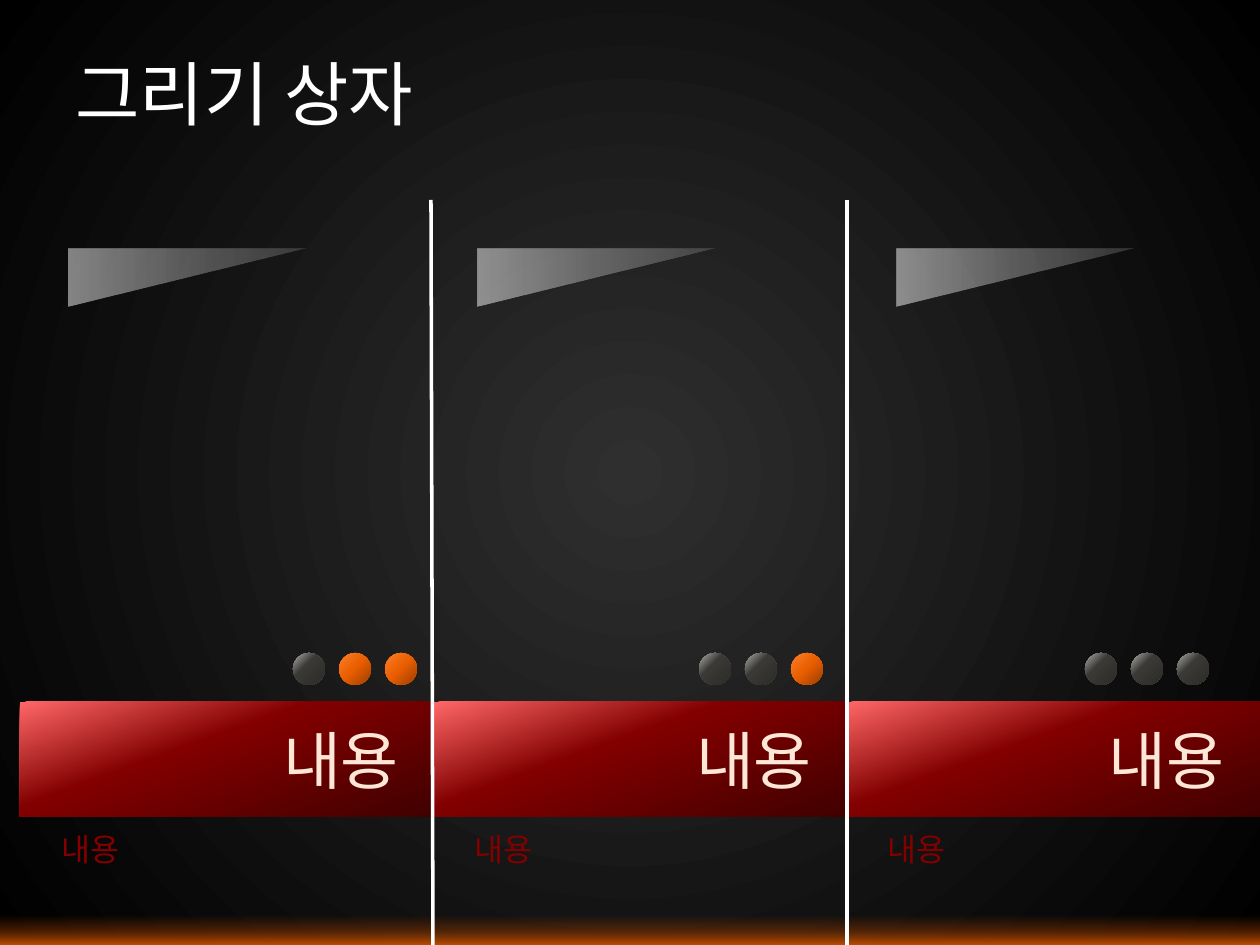
from lxml import etree
from pptx import Presentation
from pptx.dml.color import RGBColor
from pptx.enum.shapes import MSO_CONNECTOR, MSO_SHAPE
from pptx.enum.text import MSO_ANCHOR, PP_ALIGN
from pptx.oxml.ns import qn
from pptx.util import Inches, Pt

PX = 7257  # EMU per pixel, 126 pixels to the inch
FONT = "Arial"
STRAIGHT = MSO_CONNECTOR.STRAIGHT
RECTANGLE = MSO_SHAPE.RECTANGLE
OVAL = MSO_SHAPE.OVAL
TRIANGLE = MSO_SHAPE.RIGHT_TRIANGLE
MIDDLE = MSO_ANCHOR.MIDDLE
LEFT, RIGHT = PP_ALIGN.LEFT, PP_ALIGN.RIGHT

WHITE = RGBColor(0xFF, 0xFF, 0xFF)
BLACK = RGBColor(0x00, 0x00, 0x00)
CHARCOAL = RGBColor(0x2F, 0x2F, 0x2F)
CREAM = RGBColor(0xFF, 0xE7, 0xD7)
RED = RGBColor(0x82, 0x00, 0x00)
LIGHT_RED = RGBColor(0xFF, 0x67, 0x67)
DARK_RED = RGBColor(0x41, 0x00, 0x00)
BROWN = RGBColor(0x80, 0x33, 0x00)
RUST = RGBColor(0xBF, 0x4D, 0x00)

# Gradient stops: position, colour, opacity (all in percent)
BACKGROUND_STOPS = [(0, CHARCOAL, 100), (100, BLACK, 100)]
GLOW_STOPS = [(0, BROWN, 0), (50, BROWN, 54), (100, RUST, 100)]
BAR_STOPS = [(0, LIGHT_RED, 100), (40, RED, 100), (100, DARK_RED, 100)]
WEDGE_STOPS = [(0, WHITE, 15), (50, WHITE, 30), (100, WHITE, 50)]
GREY_STOPS = [(0, RGBColor(0xB2, 0xB1, 0xAD), 100),
              (40, RGBColor(0x3A, 0x39, 0x36), 100),
              (100, RGBColor(0x2C, 0x2B, 0x28), 100)]
ORANGE_STOPS = [(0, RGBColor(0xFF, 0x7F, 0x28), 100),
                (50, RGBColor(0xE9, 0x5E, 0x00), 100),
                (100, RGBColor(0x9B, 0x3F, 0x00), 100)]


def set_gradient(fill, element, stops, angle=None):
    """Fill the element with a linear gradient, or a circular one without an angle."""
    fill.background()
    empty_fill = next(element.iter(qn("a:noFill")))
    gradient = etree.Element(qn("a:gradFill"), rotWithShape="1")
    stop_list = etree.SubElement(gradient, qn("a:gsLst"))
    for position, color, opacity in stops:
        stop = etree.SubElement(stop_list, qn("a:gs"), pos=str(position * 1000))
        rgb = etree.SubElement(stop, qn("a:srgbClr"), val=str(color))
        if opacity < 100:
            etree.SubElement(rgb, qn("a:alpha"), val=str(opacity * 1000))
    if angle is None:
        circle = etree.SubElement(gradient, qn("a:path"), path="circle")
        etree.SubElement(circle, qn("a:fillToRect"),
                         l="50000", t="50000", r="50000", b="50000")
    else:
        etree.SubElement(gradient, qn("a:lin"), ang=str(angle * 60000), scaled="0")
    empty_fill.getparent().replace(empty_fill, gradient)


def add_gradient_shape(kind, left, top, width, height, stops, angle):
    shape = slide.shapes.add_shape(kind, left * PX, top * PX, width * PX, height * PX)
    shape.shadow.inherit = False
    set_gradient(shape.fill, shape.element.spPr, stops, angle)
    shape.line.fill.background()
    return shape


presentation = Presentation()
presentation.slide_width = Inches(10)
presentation.slide_height = Inches(7.5)
slide = presentation.slides.add_slide(presentation.slide_layouts[5])
set_gradient(slide.background.fill, slide.element.cSld, BACKGROUND_STOPS)

add_gradient_shape(RECTANGLE, 0, 916, 1260, 29, GLOW_STOPS, 90)

title = slide.shapes.title
title.left, title.top, title.width, title.height = 63 * PX, 38 * PX, 1134 * PX, 110 * PX
title.text_frame.vertical_anchor = MIDDLE
paragraph = title.text_frame.paragraphs[0]
paragraph.alignment = LEFT
run = paragraph.add_run()
run.text = "그리기 상자"
run.font.name, run.font.size = FONT, Pt(40)
run.font.color.rgb = WHITE

# Three columns: a red bar with a heading and a label below it
COLUMN_LEFT, COLUMN_STEP = 20, 413
for column in range(3):
    left = COLUMN_LEFT + column * COLUMN_STEP
    bar = add_gradient_shape(RECTANGLE, left, 702, COLUMN_STEP + 1, 115, BAR_STOPS, 70)
    bar.text_frame.margin_right = 35 * PX
    label = slide.shapes.add_textbox((left + 29) * PX, 824 * PX, 354 * PX, 89 * PX)
    bar.text_frame.vertical_anchor = MIDDLE
    for shape, alignment, size, color in ((bar, RIGHT, 36, CREAM), (label, LEFT, 18, RED)):
        shape.text_frame.word_wrap = True
        paragraph = shape.text_frame.paragraphs[0]
        paragraph.alignment = alignment
        run = paragraph.add_run()
        run.text = "내용"
        run.font.name, run.font.size = FONT, Pt(size)
        run.font.color.rgb = color

# Column dividers
for bottom_x, top_x in ((433, 431), (847, 847)):
    divider = slide.shapes.add_connector(
        STRAIGHT, bottom_x * PX, 945 * PX, top_x * PX, 200 * PX)
    divider.line.color.rgb = WHITE
    divider.line.width = Pt(2)
    etree.SubElement(divider.element.spPr, qn("a:effectLst"))

# Three dots per column, the orange ones last
for left, orange_count in ((293, 2), (699, 1), (1085, 0)):
    for dot in range(3):
        stops = ORANGE_STOPS if dot >= 3 - orange_count else GREY_STOPS
        add_gradient_shape(OVAL, left + dot * 46, 653, 32, 32, stops, 45)

# Fading wedges at the top of the columns
for left in (159, 568, 987):
    wedge = add_gradient_shape(TRIANGLE, left, 159, 57, 237, WEDGE_STOPS, 90)
    wedge.rotation = 90

presentation.save("out.pptx")
